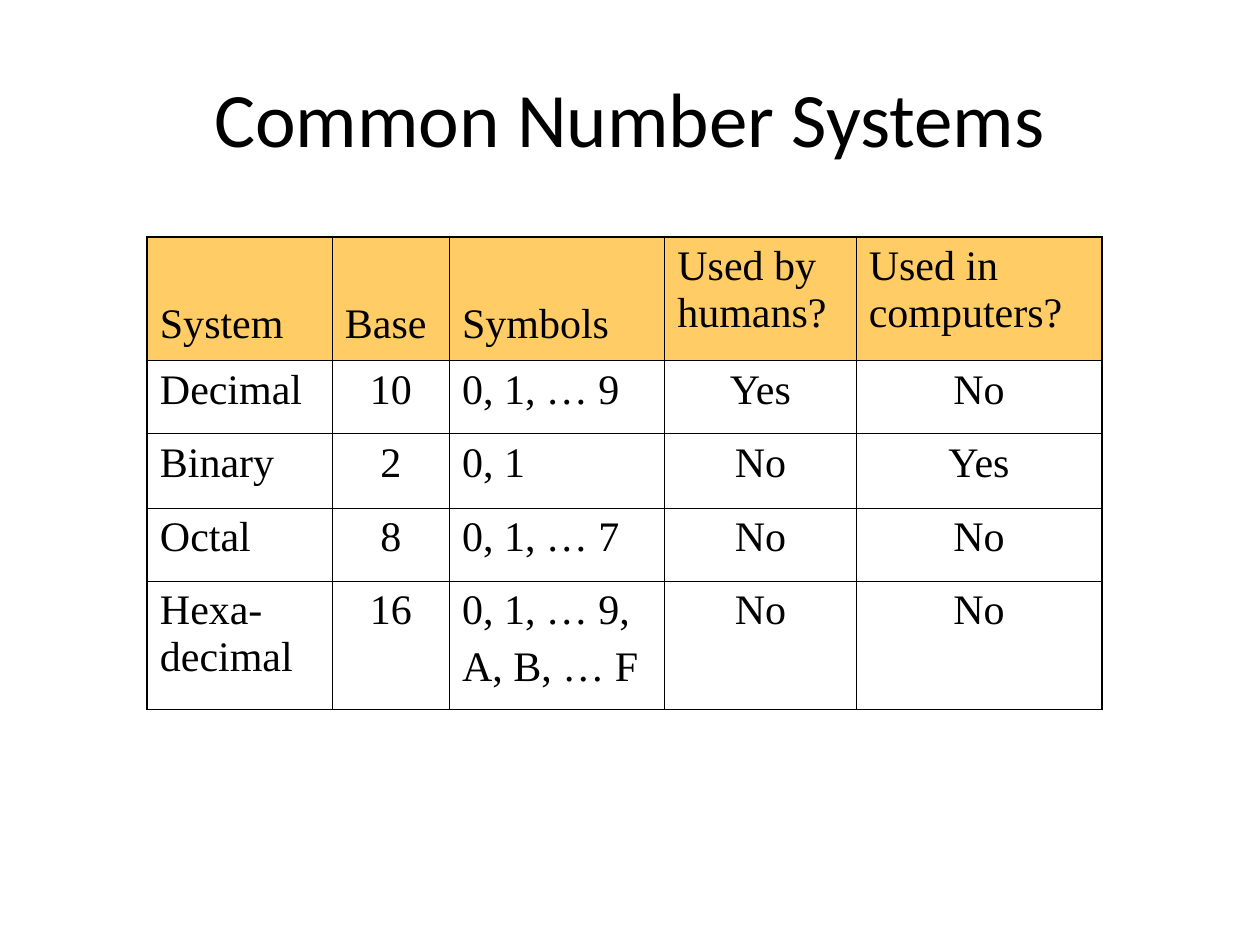
from dataclasses import dataclass

from lxml import etree
from pptx import Presentation
from pptx import util as u
from pptx.dml.color import RGBColor
from pptx.enum import text
from pptx.oxml import ns

BLACK = RGBColor(0x00, 0x00, 0x00)
AMBER = RGBColor(0xFF, 0xCC, 0x66)
THIN, THICK = u.Pt(0.45), u.Pt(1.08)
LEFT, CENTER = text.PP_ALIGN.LEFT, text.PP_ALIGN.CENTER


@dataclass(frozen=True)
class Column:
    heading: str
    width: float
    align: text.PP_ALIGN
    heading_top: float = 0.13


@dataclass(frozen=True)
class Row:
    height: float
    values: tuple[str, ...]


COLUMNS = (
    Column("System", 3.73, LEFT, 1.29),
    Column("Base", 2.36, CENTER, 1.29),
    Column("Symbols", 4.34, LEFT, 1.29),
    Column("Used by humans?", 3.86, CENTER),
    Column("Used in computers?", 4.95, CENTER),
)
HEADER = Row(2.49, tuple(c.heading for c in COLUMNS))
SYSTEMS = (
    Row(1.47, ("Decimal", "10", "0, 1, … 9", "Yes", "No")),
    Row(1.5, ("Binary", "2", "0, 1", "No", "Yes")),
    Row(1.47, ("Octal", "8", "0, 1, … 7", "No", "No")),
    Row(2.59, ("Hexa-\vdecimal", "16", "0, 1, … 9,\nA, B, … F", "No", "No")),
)


def add_run(p, value: str, font: str, size: float) -> None:
    r = p.add_run()
    r.text = value
    r.font.name = font
    r.font.size = u.Pt(size)
    r.font.bold = False
    r.font.color.rgb = BLACK


def write_cell(cell, value: str, align: text.PP_ALIGN) -> None:
    tf = cell.text_frame
    for i, paragraph in enumerate(value.split("\n")):
        p = tf.add_paragraph() if i else tf.paragraphs[0]
        p.alignment = align
        if i:
            p.space_before = u.Pt(6)
        for j, line in enumerate(paragraph.split("\v")):
            if j:
                p.add_line_break()
            add_run(p, line, "Times New Roman", 24)


def set_borders(cell, widths: dict[str, int]) -> None:
    tc_pr = cell._tc.get_or_add_tcPr()
    for i, (side, width) in enumerate(widths.items()):
        ln = etree.Element(ns.qn(f"a:ln{side}"), w=str(width))
        fill = etree.SubElement(ln, ns.qn("a:solidFill"))
        etree.SubElement(fill, ns.qn("a:srgbClr"), val=str(BLACK))
        tc_pr.insert(i, ln)


def add_systems_table(s) -> None:
    rows = (HEADER, *SYSTEMS)
    last_row, last_col = len(rows) - 1, len(COLUMNS) - 1
    table = s.shapes.add_table(
        len(rows), len(COLUMNS), u.Cm(2.97), u.Cm(4.78),
        u.Cm(sum(c.width for c in COLUMNS)), u.Cm(sum(r.height for r in rows)),
    ).table
    table.first_row = table.horz_banding = False
    for i, column in enumerate(COLUMNS):
        table.columns[i].width = u.Cm(column.width)
    for y, row in enumerate(rows):
        table.rows[y].height = u.Cm(row.height)
        for x, (column, value) in enumerate(zip(COLUMNS, row.values)):
            cell = table.cell(y, x)
            if row is HEADER:
                cell.fill.solid()
                cell.fill.fore_color.rgb = AMBER
                cell.margin_top = u.Cm(column.heading_top)
            else:
                cell.fill.background()
            write_cell(cell, value, LEFT if row is HEADER else column.align)
            set_borders(cell, {
                "L": THICK if x == 0 else THIN,
                "R": THICK if x == last_col else THIN,
                "T": THICK if y == 0 else THIN,
                "B": THICK if y == last_row else THIN,
            })


def add_title(s, value: str) -> None:
    sp = s.shapes.title
    sp.left, sp.top, sp.width, sp.height = map(u.Cm, (1.27, 0.76, 22.86, 3.18))
    tf = sp.text_frame
    tf.vertical_anchor = text.MSO_ANCHOR.MIDDLE
    p = tf.paragraphs[0]
    p.alignment = CENTER
    add_run(p, value, "Calibri", 44)


def main() -> None:
    prs = Presentation()
    prs.slide_width, prs.slide_height = u.Cm(25.4), u.Cm(19.05)
    s = prs.slides.add_slide(prs.slide_layouts[5])
    add_title(s, "Common Number Systems")
    add_systems_table(s)
    prs.save("out.pptx")


if __name__ == "__main__":
    main()
